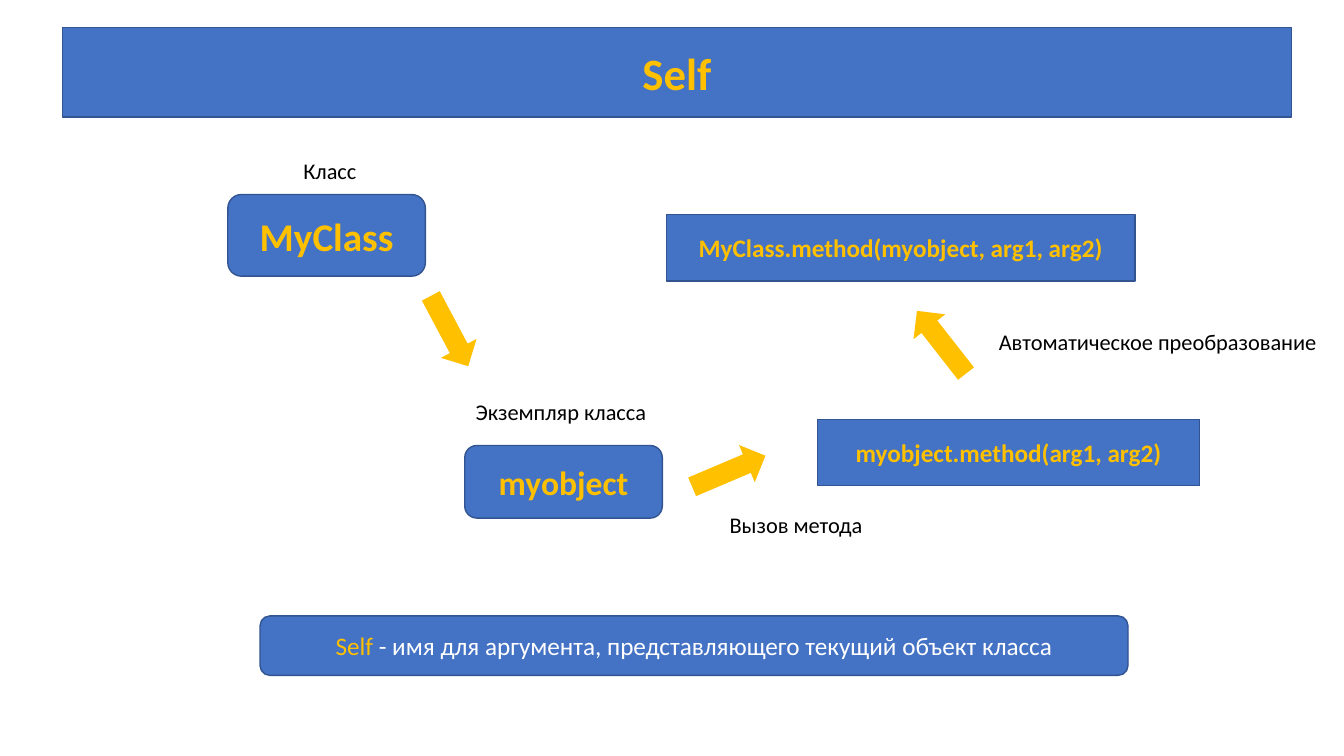
from pptx import Presentation
from pptx import util as u
from pptx.dml.color import RGBColor
from pptx.enum import shapes, text

BLUE, EDGE, GOLD, WHITE, BLACK = "4472C4", "325491", "FFC000", "FFFFFF", "000000"
RECT = shapes.MSO_SHAPE.RECTANGLE
ROUND = shapes.MSO_SHAPE.ROUNDED_RECTANGLE

prs = Presentation()
prs.slide_width, prs.slide_height = u.Inches(13.33), u.Inches(7.5)
col, row = prs.slide_width / 100, prs.slide_height / 100
s = prs.slides.add_slide(prs.slide_layouts[5])


def rgb(value):
    return RGBColor.from_string(value)


def style(sp, words, size, color, bold=False, fill=None):
    if fill:
        sp.fill.solid()
        sp.fill.fore_color.rgb = rgb(fill)
        sp.line.color.rgb = rgb(EDGE)
        sp.line.width = u.Pt(1)
    tf = sp.text_frame
    tf.word_wrap = True
    tf.vertical_anchor = text.MSO_ANCHOR.MIDDLE if fill else text.MSO_ANCHOR.TOP
    p = tf.paragraphs[0]
    p.alignment = text.PP_ALIGN.CENTER if fill else text.PP_ALIGN.LEFT
    p.font.name, p.font.size, p.font.bold = "Calibri", u.Pt(size), bold
    p.font.color.rgb = rgb(color)
    p.add_run().text = words
    return p


title = s.shapes.title
title.left, title.top = int(4.65 * col), int(3.6 * row)
title.width, title.height = int(91.43 * col), int(11.87 * row)
style(title, "Self", 32, GOLD, True, BLUE)

boxes = [
    (ROUND, 16.95, 25.73, 14.7, 10.8, "MyClass", 28, True),
    (ROUND, 34.58, 58.93, 14.7, 9.6, "myobject", 24, True),
    (RECT, 60.83, 55.47, 28.43, 8.8, "myobject.method(arg1, arg2)", 18, True),
    (RECT, 49.58, 28.4, 34.88, 8.8, "MyClass.method(myobject, arg1, arg2)", 18, True),
    (ROUND, 19.35, 81.47, 64.58, 7.87, "Self ", 18, False),
]
for kind, x, y, w, h, words, size, bold in boxes:
    sp = s.shapes.add_shape(kind, int(x * col), int(y * row), int(w * col), int(h * row))
    sp.shadow.inherit = False
    p = style(sp, words, size, GOLD, bold, BLUE)

r = p.add_run()
r.text = "- имя для аргумента, представляющего текущий объект класса"
r.font.color.rgb = rgb(WHITE)

labels = [
    (21.83, 20.13, 11.25, "Класс"),
    (34.65, 52, 18.6, "Экземпляр класса"),
    (53.55, 66.93, 18.6, "Вызов метода"),
    (73.58, 42.8, 25.8, "Автоматическое преобразование"),
]
for x, y, w, words in labels:
    sp = s.shapes.add_textbox(int(x * col), int(y * row), int(w * col), int(4.93 * row))
    style(sp, words, 16, BLACK)

for x, y, turn in [(31.95, 38.53, 332), (52.73, 57.07, 247), (68.55, 40, 142)]:
    sp = s.shapes.add_shape(shapes.MSO_SHAPE.DOWN_ARROW, int(x * col), int(y * row),
                            int(3 * col), int(10.53 * row))
    sp.rotation = turn
    sp.shadow.inherit = False
    sp.fill.solid()
    sp.fill.fore_color.rgb = rgb(GOLD)
    sp.line.fill.background()

prs.save("out.pptx")
